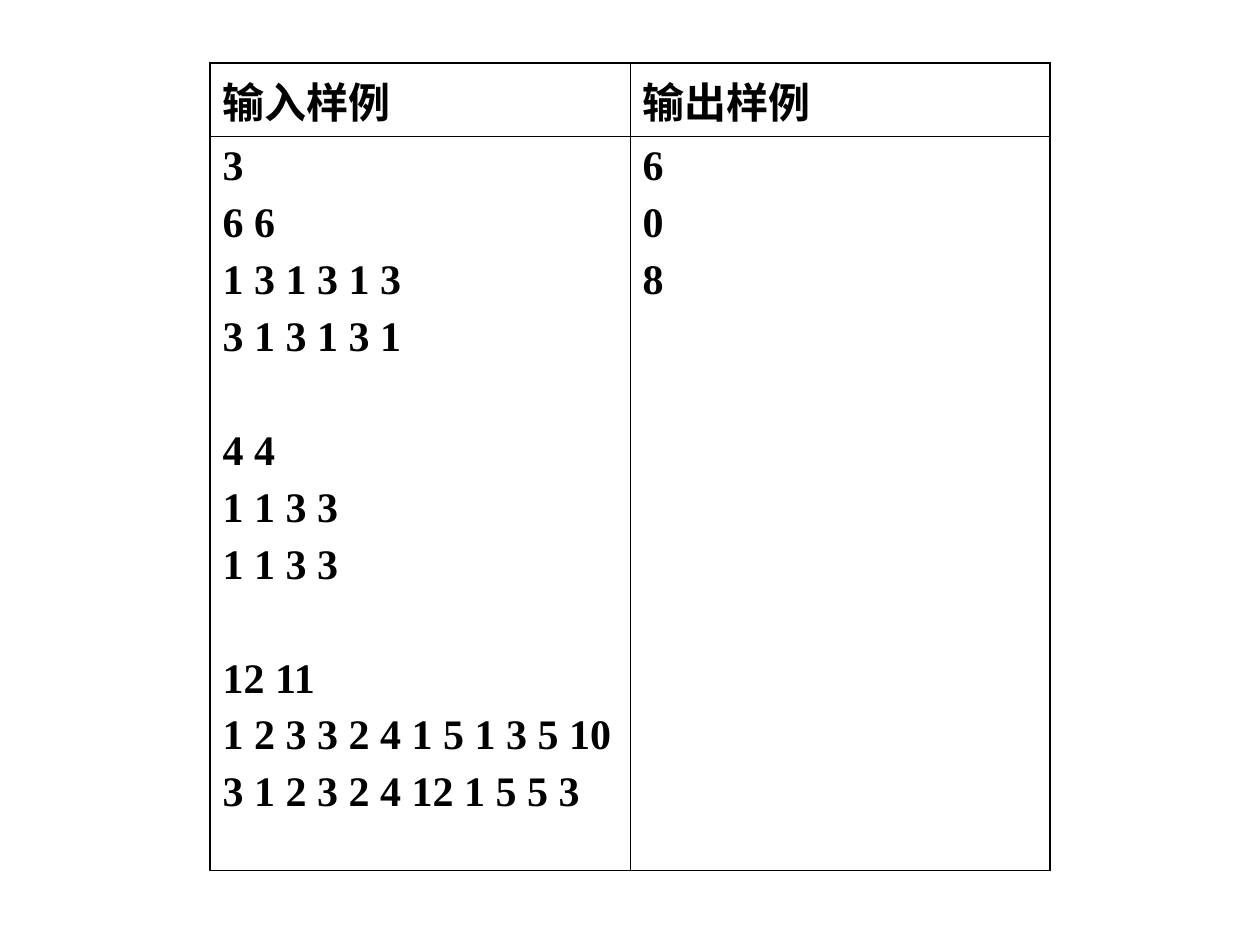
import pptx
import pptx.util
import pptx.dml.color
import pptx.oxml.ns
import lxml.etree

COLORS = {"ink": "000000"}
FONT = "Times New Roman"
TEXT_SIZE = 24
LINE_GAP = 6
GROUP_GAP = 38.6
OUTER_WIDTH, INNER_WIDTH = 1.08, 0.45
HEADER_SHARE = 0.0863

SAMPLES = [
    ("输入样例", [
        ["3", "6 6", "1 3 1 3 1 3", "3 1 3 1 3 1"],
        ["4 4", "1 1 3 3", "1 1 3 3"],
        ["12 11", "1 2 3 3 2 4 1 5 1 3 5 10", "3 1 2 3 2 4 12 1 5 5 3"],
    ]),
    ("输出样例", [["6", "0", "8"]]),
]


def write_groups(cell, groups):
    lines = [line for group in groups for line in group]
    gaps = [GROUP_GAP if number and not position else LINE_GAP
            for number, group in enumerate(groups)
            for position in range(len(group))]
    cell.text_frame.text = "\n".join(lines)
    for paragraph, gap in zip(cell.text_frame.paragraphs, gaps):
        paragraph.space_before = pptx.util.Pt(gap)
        for run in paragraph.runs:
            run.font.name = FONT
            run.font.size = pptx.util.Pt(TEXT_SIZE)
            run.font.bold = True
            run.font.color.rgb = pptx.dml.color.RGBColor.from_string(COLORS["ink"])


def draw_borders(cell, widths):
    properties = cell._tc.get_or_add_tcPr()
    qn = pptx.oxml.ns.qn
    for position, (side, width) in enumerate(widths.items()):
        border = lxml.etree.Element(qn("a:ln" + side), w=str(pptx.util.Pt(width)))
        fill = lxml.etree.SubElement(border, qn("a:solidFill"))
        lxml.etree.SubElement(fill, qn("a:srgbClr"), val=COLORS["ink"])
        properties.insert(position, border)


def add_samples(slide, left, top, width, height):
    samples = slide.shapes.add_table(2, len(SAMPLES), left, top, width, height).table
    samples.first_row = False
    samples.horz_banding = False
    samples.rows[0].height = int(height * HEADER_SHARE)
    samples.rows[1].height = height - samples.rows[0].height
    last = len(SAMPLES) - 1
    for column, (heading, groups) in enumerate(SAMPLES):
        for row, content in enumerate([[[heading]], groups]):
            cell = samples.cell(row, column)
            cell.fill.background()
            write_groups(cell, content)
            outer = {"L": column == 0, "R": column == last,
                     "T": row == 0, "B": row == 1}
            draw_borders(cell, {side: OUTER_WIDTH if edge else INNER_WIDTH
                                for side, edge in outer.items()})


def main():
    deck = pptx.Presentation()
    deck.slide_width = pptx.util.Inches(10)
    deck.slide_height = pptx.util.Inches(7.5)
    slide = deck.slides.add_slide(deck.slide_layouts[6])
    add_samples(slide, deck.slide_width // 6, deck.slide_height // 15,
                deck.slide_width * 2 // 3, int(deck.slide_height * 0.85))
    deck.save("out.pptx")


if __name__ == "__main__":
    main()
